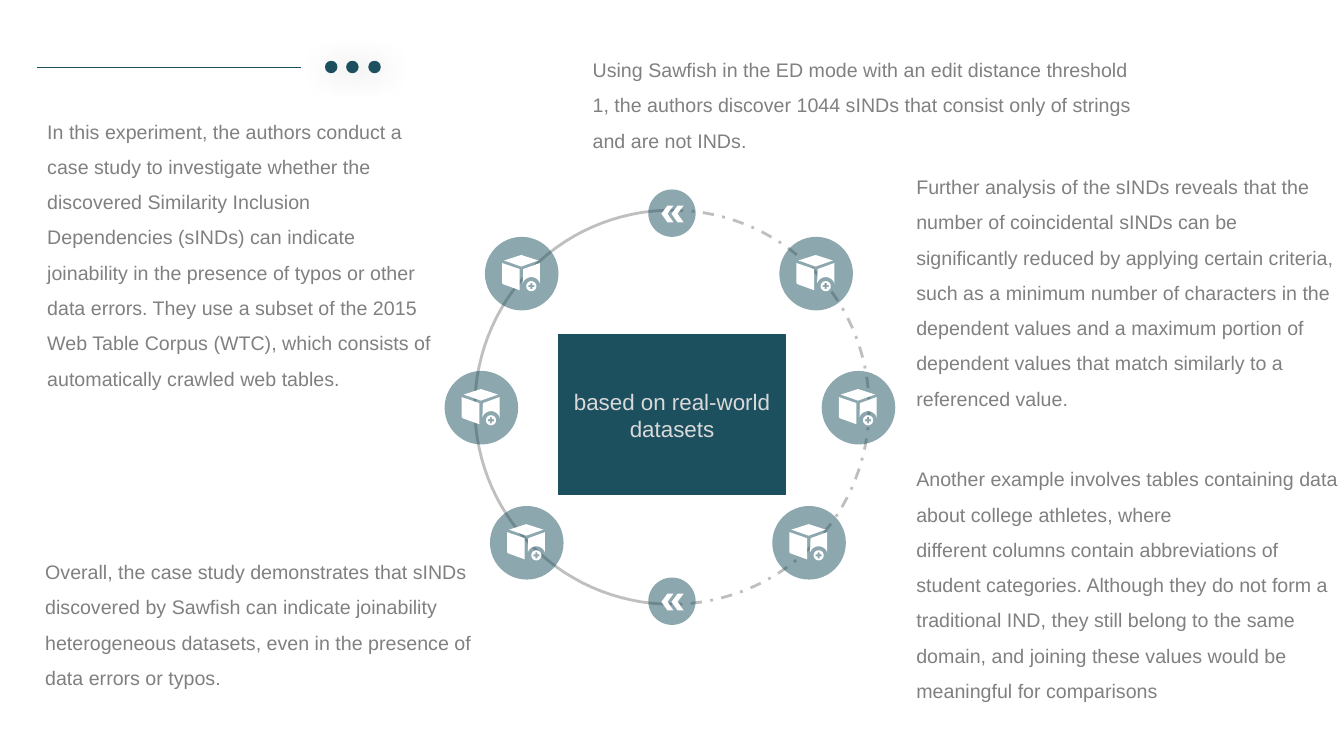
from math import cos, radians, sin

from pptx import Presentation
from pptx import util as u
from pptx.dml.color import RGBColor
from pptx.enum import dml, shapes, text
from pptx.oxml import parse_xml
from pptx.oxml.ns import nsdecls, qn

PX = 9144
FINE = PX / 10
theme = {
    "teal": RGBColor.from_string("1D505F"),
    "white": RGBColor.from_string("FFFFFF"),
    "ring": RGBColor.from_string("BFBFBF"),
    "pale": RGBColor.from_string("D9D9D9"),
    "grey": RGBColor.from_string("808080"),
    "body": {"name": "Arial", "size": u.Pt(14)},
    "core": {"name": "Arial", "size": u.Pt(16)},
}

deck = Presentation()
deck.slide_width, deck.slide_height = 1333 * PX, 750 * PX
slide = deck.slides.add_slide(deck.slide_layouts[6])
tree = slide.shapes


def curve(x, y, size, start, stop, step=3):
    turn = range(start, stop + 1, step)
    return [(x + size * cos(radians(a)), y + size * sin(radians(a))) for a in turn]


def write(frame, lines, look, color, align, space):
    frame.word_wrap = True
    for i, line in enumerate(lines):
        para = frame.paragraphs[0] if i == 0 else frame.add_paragraph()
        para.alignment, para.line_spacing = align, space
        run = para.add_run()
        run.text = line
        for key, value in look.items():
            setattr(run.font, key, value)
        run.font.color.rgb = color


for start, dash in [(-90, dml.MSO_LINE.DASH_DOT), (90, dml.MSO_LINE.SOLID)]:
    points = curve(6665, 4040, 1955, start, start + 180)
    path = tree.build_freeform(*points[0], scale=FINE)
    path.add_line_segments(points[1:], close=False)
    arc = path.convert_to_shape(0, 0)
    arc.shadow.inherit = False
    arc.fill.background()
    arc.line.color.rgb = theme["ring"]
    arc.line.width = u.Pt(2)
    arc.line.dash_style = dash

plus = [(280, 280), (300, 280), (300, 300), (320, 300), (320, 320), (300, 320),
        (300, 340), (280, 340), (280, 320), (260, 320), (260, 300), (280, 300)]
crate = [
    plus,
    curve(290, 310, 50, 0, 360, 10),
    [(375, 80), (375, 280)] + curve(290, 310, 90, -160, -14, 2)[::-1] + [(210, 140)],
    [(0, 80), (175, 140), (175, 350), (10, 290), (0, 280)],
    [(190, 0), (360, 55), (190, 115), (20, 55)],
]
hook = [(60, 0), (120, 0), (60, 80), (120, 165), (60, 165), (0, 80)]
arrows = [[(x + shift, y) for x, y in hook] for shift in (100, 0)]

spots = [(815, 368), (441, 368), (773, 235), (481, 235), (486, 502), (766, 502)]
discs = [(x, y, 73, crate, 17, 18) for x, y in spots]
discs += [(643, y, 47, arrows, 13, 16) for y in (573, 188)]

for x, y, size, icon, dx, dy in discs:
    disc = tree.add_shape(shapes.MSO_SHAPE.OVAL, x * PX, y * PX, size * PX, size * PX)
    disc.shadow.inherit = False
    disc.fill.solid()
    disc.fill.fore_color.rgb = theme["teal"]
    tint = disc.fill._xPr.find(qn("a:solidFill"))[0]
    tint.append(parse_xml(f'<a:alpha {nsdecls("a")} val="50000"/>'))
    disc.line.fill.background()

    path = tree.build_freeform(*icon[0][0], scale=FINE)
    for i, loop in enumerate(icon):
        if i:
            path.move_to(*loop[0])
        path.add_line_segments(loop[1:], close=True)
    glyph = path.convert_to_shape((x + dx) * PX, (y + dy) * PX)
    glyph.shadow.inherit = False
    glyph.fill.solid()
    glyph.fill.fore_color.rgb = theme["white"]
    glyph.line.fill.background()

group = tree.add_group_shape()
rule = group.shapes.add_connector(
    shapes.MSO_CONNECTOR.STRAIGHT, 37 * PX, 67 * PX, 299 * PX, 67 * PX)
rule.line.color.rgb = theme["teal"]
rule.line.width = u.Pt(0.5)
rule._element.spPr.append(parse_xml(f'<a:effectLst {nsdecls("a")}/>'))
for x in (323, 344, 366):
    dot = group.shapes.add_shape(
        shapes.MSO_SHAPE.OVAL, x * PX, 61 * PX, 11 * PX, 11 * PX)
    dot.fill.solid()
    dot.fill.fore_color.rgb = dot.line.color.rgb = theme["teal"]
    dot.line.width = u.Pt(1)
    dot._element.spPr.append(parse_xml(
        f'<a:effectLst {nsdecls("a")}><a:outerShdw blurRad="{u.Pt(22)}" '
        f'dist="{u.Pt(3)}" dir="2700000"><a:srgbClr val="000000">'
        '<a:alpha val="22000"/></a:srgbClr></a:outerShdw></a:effectLst>'))

core = tree.add_shape(
    shapes.MSO_SHAPE.RECTANGLE, 554 * PX, 332 * PX, 225 * PX, 159 * PX)
core.shadow.inherit = False
core.fill.solid()
core.fill.fore_color.rgb = core.line.color.rgb = theme["teal"]
core.line.width = u.Pt(0.75)
core.text_frame.vertical_anchor = text.MSO_ANCHOR.MIDDLE
write(core.text_frame, ["based on real-world", "datasets"],
      theme["core"], theme["pale"], text.PP_ALIGN.CENTER, 1.0)

notes = [
    ((37, 102, 405, 297), [
        "In this experiment, the authors conduct a case study to investigate whether "
        "the discovered Similarity Inclusion Dependencies (sINDs) can indicate "
        "joinability in the presence of typos or other data errors. They use a subset "
        "of the 2015 Web Table Corpus (WTC), which consists of",
        "automatically crawled web tables."]),
    ((578, 41, 563, 116), [
        "Using Sawfish in the ED mode with an edit distance threshold 1, the authors "
        "discover 1044 sINDs that consist only of strings and are not INDs."]),
    ((35, 539, 446, 151), [
        "Overall, the case study demonstrates that sINDs discovered by Sawfish can "
        "indicate joinability heterogeneous datasets, even in the presence of data "
        "errors or typos."]),
    ((899, 157, 434, 257), [
        "Further analysis of the sINDs reveals that the number of coincidental sINDs "
        "can be significantly reduced by applying certain criteria, such as a minimum "
        "number of characters in the",
        "dependent values and a maximum portion of dependent values that match "
        "similarly to a",
        "referenced value."]),
    ((899, 447, 446, 257), [
        "Another example involves tables containing data about college athletes, where",
        "different columns contain abbreviations of student categories. Although they "
        "do not form a",
        "traditional IND, they still belong to the same domain, and joining these "
        "values would be",
        "meaningful for comparisons"]),
]
for place, lines in notes:
    box = tree.add_textbox(*[side * PX for side in place])
    write(box.text_frame, lines, theme["body"], theme["grey"], text.PP_ALIGN.LEFT, 1.5)

deck.save("out.pptx")
